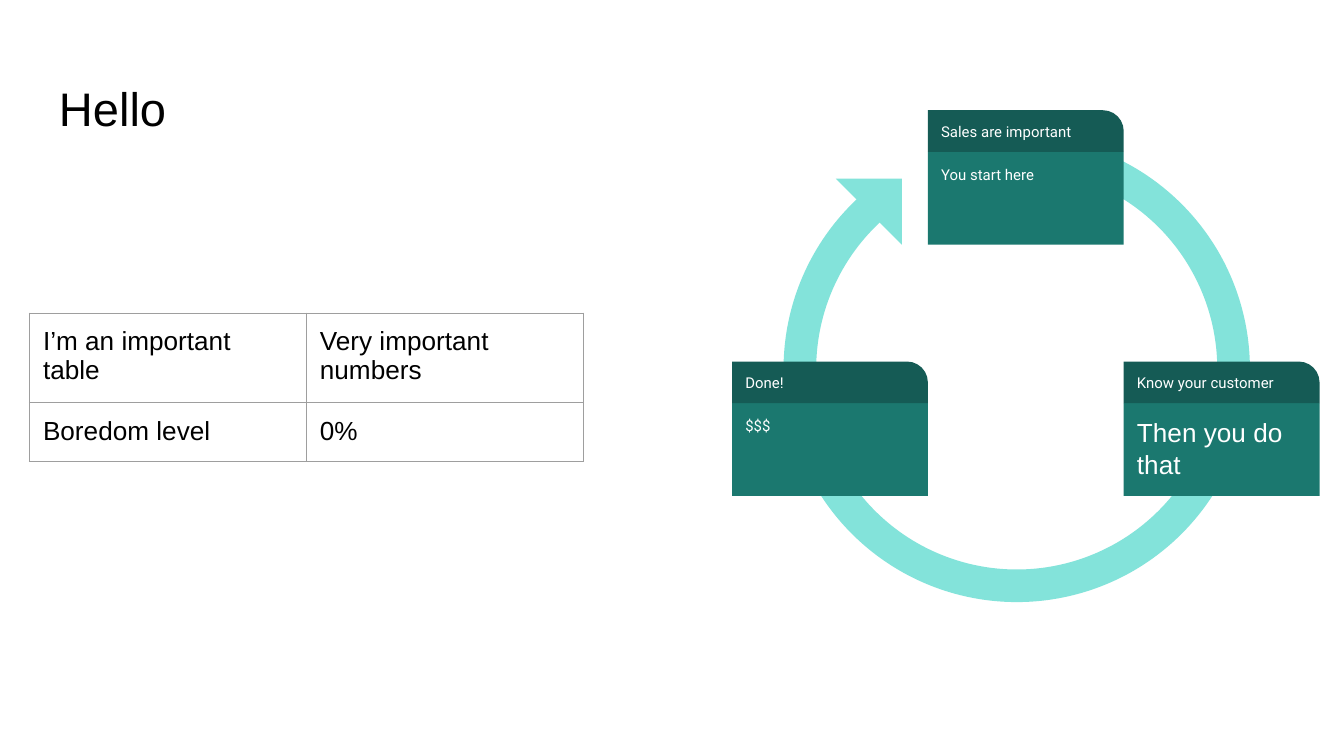
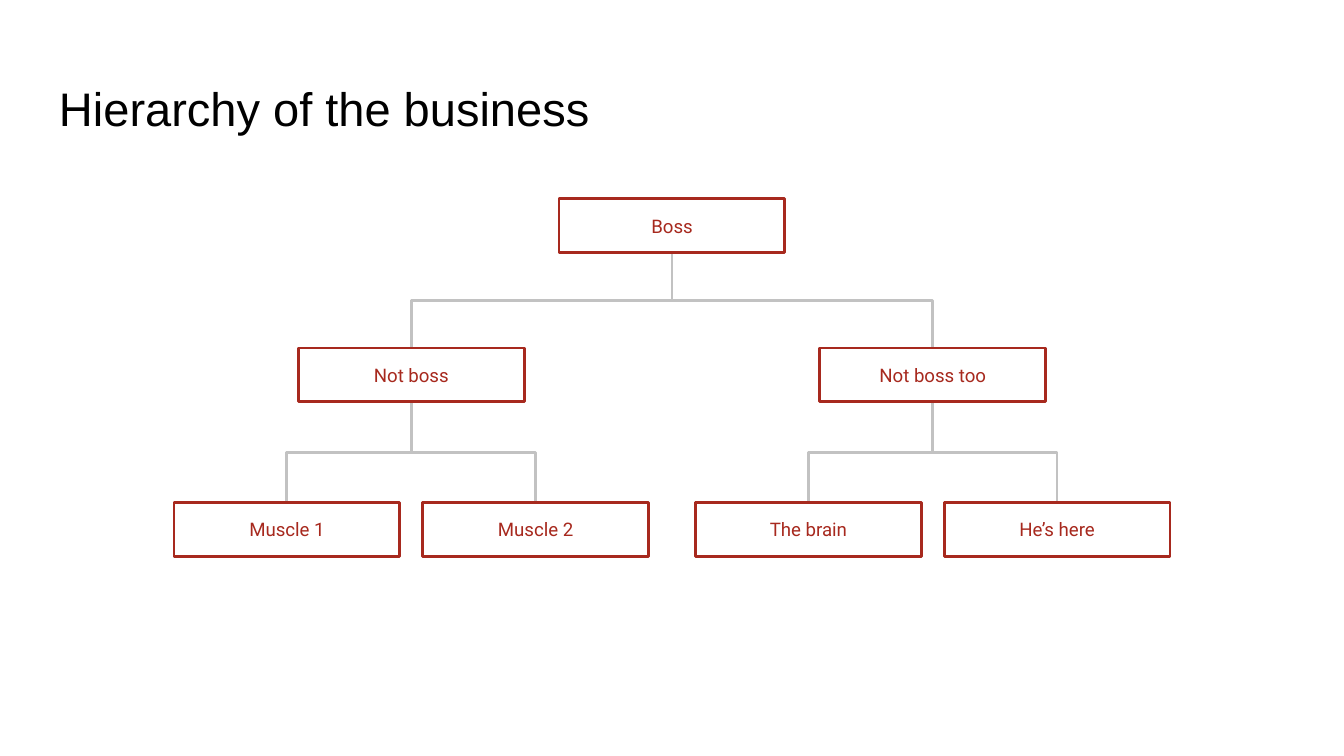
from dataclasses import dataclass
from typing import Any, NamedTuple

from lxml.etree import SubElement
from pptx import Presentation
from pptx.dml.color import RGBColor
from pptx.enum.shapes import MSO_CONNECTOR as Link, MSO_SHAPE as Form
from pptx.enum.text import MSO_ANCHOR as Anchor, PP_ALIGN as Align
from pptx.oxml.ns import qn
from pptx.util import Inches, Pt

COLUMNS, ROWS = 100, 56.25
WIDTH, HEIGHT = Inches(10), Inches(5.625)


@dataclass(frozen=True)
class Theme:
    ink: str = "000000"
    paper: str = "FFFFFF"
    grid: str = "9E9E9E"
    ring: str = "83E3DA"
    header: str = "155B55"
    body: str = "1B786F"
    box: str = "A7291E"
    branch: str = "C2C2C2"
    sans: str = "Arial"
    label: str = "Roboto"
    title_size: float = 25.2
    large_size: float = 14
    box_size: float = 10
    small_size: float = 8
    line: float = 1.5
    hairline: float = 0.75


THEME = Theme()


class Area(NamedTuple):
    """Left, top, width and height in grid columns and rows."""
    left: float
    top: float
    width: float
    height: float

    def emu(self) -> tuple[int, int, int, int]:
        return (across(self.left), down(self.top),
                across(self.width), down(self.height))


class TextStyle(NamedTuple):
    font: str
    size: float
    color: str
    align: Align = Align.LEFT
    anchor: Anchor = Anchor.TOP


class Card(NamedTuple):
    column: int
    top: float
    heading: str
    detail: str
    detail_style: TextStyle


class Role(NamedTuple):
    label: str
    reports: tuple["Role", ...] = ()


TITLE = TextStyle(THEME.sans, THEME.title_size, THEME.ink)
CELL = TextStyle(THEME.sans, THEME.large_size, THEME.ink)
BIG_DETAIL = TextStyle(THEME.sans, THEME.large_size, THEME.paper)
DETAIL = TextStyle(THEME.label, THEME.small_size, THEME.paper)
HEADING = DETAIL._replace(anchor=Anchor.MIDDLE)
ROLE = TextStyle(THEME.label, THEME.box_size, THEME.box, Align.CENTER, Anchor.MIDDLE)

SALES_TABLE = (("I’m an important table", "Very important numbers"),
               ("Boredom level", "0%"))
TABLE_AREA = Area(2.2, 23.3, 41.2, 9.6)
TABLE_ROWS = (5.9, 3.7)

RING = Area(58.3, 10.1, 34.7, 34.7)
ARROW_TIP = Area(62.2, 13.3, 4.9, 4.9)
CARDS_LEFT, CARD_WIDTH = 54.47, 14.57
HEADING_HEIGHT, DETAIL_HEIGHT = 3.1, 6.9
CARDS = (
    Card(2, 26.9, "Know your customer", "Then you do that", BIG_DETAIL),
    Card(1, 8.2, "Sales are important", "You start here", DETAIL),
    Card(0, 26.9, "Done!", "$$$", DETAIL),
)

BUSINESS = Role("Boss", (
    Role("Not boss", (Role("Muscle 1"), Role("Muscle 2"))),
    Role("Not boss too", (Role("The brain"), Role("He’s here"))),
))
ROLE_WIDTH, ROLE_HEIGHT = 16.8, 4
LEVEL_TOPS = (14.8, 25.9, 37.4)
LEVEL_SPREADS = (0, 19.4, 9.25)


def across(columns: float) -> int:
    return round(WIDTH * columns / COLUMNS)


def down(rows: float) -> int:
    return round(HEIGHT * rows / ROWS)


def apply(target: Any, values: dict[str, Any]) -> None:
    for attribute, value in values.items():
        setattr(target, attribute, value)


def margins(prefix: str = "margin_") -> dict[str, Any]:
    return {prefix + side: Inches(0.1) for side in ("left", "top", "right", "bottom")}


def write(frame: Any, words: str, style: TextStyle) -> None:
    frame.text = words
    paragraph = frame.paragraphs[0]
    paragraph.alignment = style.align
    apply(paragraph.font, {"name": style.font, "size": Pt(style.size), "bold": False})
    paragraph.font.color.rgb = RGBColor.from_string(style.color)


def write_in(shape: Any, words: str, style: TextStyle) -> None:
    frame = shape.text_frame
    apply(frame, {"word_wrap": True, "vertical_anchor": style.anchor, **margins()})
    write(frame, words, style)


def add_title(slide: Any, words: str, width: float) -> None:
    write_in(slide.shapes.add_textbox(*Area(3.4, 4.9, width, 6.3).emu()), words, TITLE)


def add_form(shapes: Any, form: Form, area: Area, fill: str = "", line: str = "") -> Any:
    shape = shapes.add_shape(form, *area.emu())
    shape.shadow.inherit = False
    for part, color in ((shape.fill, fill), (shape.line.fill, line)):
        if color:
            part.solid()
            part.fore_color.rgb = RGBColor.from_string(color)
        else:
            part.background()
    return shape


def add_cell_borders(cell: Any) -> None:
    properties = cell._tc.get_or_add_tcPr()
    for position, side in enumerate(("lnL", "lnR", "lnT", "lnB")):
        border = SubElement(properties, qn(f"a:{side}"), w=str(Pt(THEME.hairline)))
        SubElement(SubElement(border, qn("a:solidFill")), qn("a:srgbClr"), val=THEME.grid)
        properties.insert(position, border)


def add_sales_table(slide: Any) -> None:
    table = slide.shapes.add_table(len(SALES_TABLE), len(SALES_TABLE[0]),
                                   *TABLE_AREA.emu()).table
    apply(table, {"first_row": False, "horz_banding": False})
    for row, height, entries in zip(table.rows, TABLE_ROWS, SALES_TABLE):
        row.height = down(height)
        for cell, entry in zip(row.cells, entries):
            apply(cell, margins())
            write(cell.text_frame, entry, CELL)
            cell.fill.background()
            add_cell_borders(cell)


def add_ring(slide: Any) -> None:
    shapes = slide.shapes.add_group_shape().shapes
    arc = add_form(shapes, Form.BLOCK_ARC, RING, THEME.ring)
    for index, value in enumerate((54, 30.13, 0.07)):
        arc.adjustments[index] = value
    tip = add_form(shapes, Form.RIGHT_TRIANGLE, ARROW_TIP, THEME.ring)
    for part in (arc, tip):
        part.rotation = 180


def add_card(slide: Any, card: Card) -> None:
    shapes = slide.shapes.add_group_shape().shapes
    left = CARDS_LEFT + card.column * CARD_WIDTH
    detail_area = Area(left, card.top + HEADING_HEIGHT, CARD_WIDTH, DETAIL_HEIGHT)
    heading_area = Area(left, card.top, CARD_WIDTH, HEADING_HEIGHT)
    detail = add_form(shapes, Form.RECTANGLE, detail_area, THEME.body)
    write_in(detail, card.detail, card.detail_style)
    heading = add_form(shapes, Form.ROUND_1_RECTANGLE, heading_area, THEME.header)
    heading.adjustments[0] = 0.5
    write_in(heading, card.heading, HEADING)


def add_branch(slide: Any, manager: Any, report: Any) -> None:
    """Link two boxes with an elbow that leaves downwards, behind the boxes."""
    start_x, end_x = (box.left + box.width // 2 for box in (manager, report))
    start_y, end_y = manager.top + manager.height, report.top
    branch = slide.shapes.add_connector(Link.ELBOW, start_x, start_y, end_x, end_y)
    branch.begin_connect(manager, 2)
    branch.end_connect(report, 0)
    drop, span = end_y - start_y, abs(end_x - start_x)
    # The elbow lies on its side, so its box is turned about the centre.
    apply(branch, {"left": (start_x + end_x - drop) // 2,
                   "top": (start_y + end_y - span) // 2,
                   "width": drop, "height": span})
    rightward = end_x > start_x
    properties = branch._element.spPr
    frame = properties.find(qn("a:xfrm"))
    frame.set("rot", str((270 if rightward else 90) * 60000))
    frame.set("flipH", str(int(rightward)))
    branch.line.width = Pt(THEME.line)
    branch.line.color.rgb = RGBColor.from_string(THEME.branch)
    SubElement(properties, qn("a:effectLst"))
    slide.shapes._spTree.insert(2, branch._element)


def add_role(slide: Any, role: Role, center: float, level: int = 0) -> Any:
    """Draw a role and everyone below it; return the role's box."""
    area = Area(center - ROLE_WIDTH / 2, LEVEL_TOPS[level], ROLE_WIDTH, ROLE_HEIGHT)
    box = add_form(slide.shapes, Form.RECTANGLE, area, line=THEME.box)
    box.line.width = Pt(THEME.line)
    SubElement(box.line._get_or_add_ln(), qn("a:round"))
    write_in(box, role.label, ROLE)
    for side, report in zip((-1, 1), role.reports):
        report_center = center + side * LEVEL_SPREADS[level + 1]
        add_branch(slide, box, add_role(slide, report, report_center, level + 1))
    return box


def main() -> None:
    deck = Presentation()
    apply(deck, {"slide_width": WIDTH, "slide_height": HEIGHT})
    blank = deck.slide_layouts[6]

    hello = deck.slides.add_slide(blank)
    add_title(hello, "Hello", 13.1)
    add_sales_table(hello)
    add_ring(hello)
    for card in CARDS:
        add_card(hello, card)

    hierarchy = deck.slides.add_slide(blank)
    add_title(hierarchy, "Hierarchy of the business", 93.2)
    add_role(hierarchy, BUSINESS, COLUMNS / 2)

    deck.save("out.pptx")


if __name__ == "__main__":
    main()
